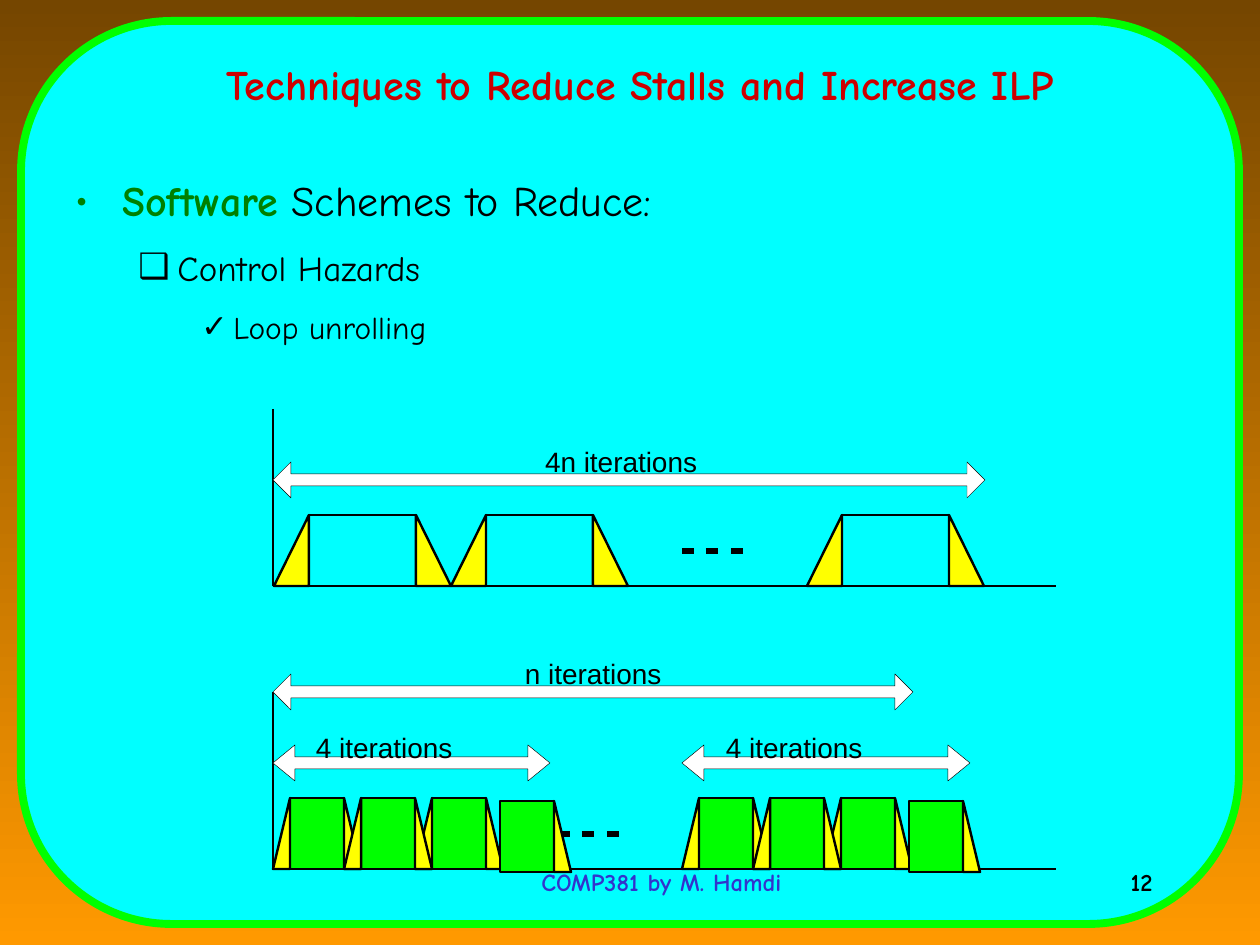
from lxml.etree import SubElement
from pptx import Presentation
from pptx.dml.color import RGBColor
from pptx.enum.shapes import MSO_CONNECTOR, MSO_SHAPE
from pptx.enum.text import MSO_ANCHOR, PP_ALIGN
from pptx.oxml.ns import qn
from pptx.util import Pt

PX = 914400 / 126
COLORS = {name: RGBColor.from_string(code) for name, code in {
    "brown": "754600", "orange": "FF9900", "cyan": "00FFFF",
    "lime": "00FF00", "blue": "3333CC", "red": "CC0000",
    "green": "008000", "black": "000000", "yellow": "FFFF00",
    "white": "FFFFFF"}.items()}

deck = Presentation()
deck.slide_width, deck.slide_height = round(1260 * PX), round(945 * PX)
slide = deck.slides.add_slide(deck.slide_layouts[6])
shapes = slide.shapes


def paint(shape, fill, width, edge="black"):
    shape.shadow.inherit = False
    shape.fill.solid()
    shape.fill.fore_color.rgb = COLORS[fill]
    shape.line.color.rgb = COLORS[edge]
    shape.line.width = Pt(width)


def write(para, text, size, color, bold=False, font="Comic Neue"):
    run = para.add_run()
    run.text = text
    run.font.size = Pt(size)
    run.font.name = font
    run.font.bold = bold
    run.font.color.rgb = COLORS[color]


# Background and frame
back = slide.background.fill
back.gradient()
back.gradient_angle = 270
for stop, color in zip(back.gradient_stops, ("brown", "orange")):
    stop.color.rgb = COLORS[color]
frame = shapes.add_shape(MSO_SHAPE.FLOWCHART_ALTERNATE_PROCESS,
                         *[round(v * PX) for v in (21, 21, 1218, 903)])
paint(frame, "cyan", 4.5, "lime")

# Title, footer and page number
for box, text, size, color, align, anchor in (
        ((462, 861, 399, 63), "COMP381 by M. Hamdi", 14, "blue",
         PP_ALIGN.CENTER, MSO_ANCHOR.TOP),
        ((73, 21, 1134, 126), "Techniques to Reduce Stalls and Increase ILP",
         24, "red", PP_ALIGN.CENTER, MSO_ANCHOR.MIDDLE),
        ((903, 861, 262, 63), "12", 14, "black",
         PP_ALIGN.RIGHT, MSO_ANCHOR.TOP)):
    frame = shapes.add_textbox(*[round(v * PX) for v in box]).text_frame
    frame.word_wrap = True
    frame.vertical_anchor = anchor
    frame.paragraphs[0].alignment = align
    write(frame.paragraphs[0], text, size, color, bold=True)

# Outline
body = shapes.add_textbox(*[round(v * PX) for v in (63, 168, 1134, 683)])
body = body.text_frame
body.word_wrap = True
for level, (left, hang, space, mark, tint, size, runs) in enumerate((
        (47, 47, 0, "•", "green", 24,
         (("Software", "green", True),
          (" Schemes to Reduce:", "black", False))),
        (102, 39, 12.5, "❑", "black", 20,
         (("Control Hazards", "black", False),)),
        (158, 32, 11.2, "✓", "black", 18,
         (("Loop unrolling", "black", False),)))):
    para = body.add_paragraph() if level else body.paragraphs[0]
    para.level = level
    props = para._p.get_or_add_pPr()
    props.set("marL", str(round(left * PX)))
    props.set("indent", str(round(-hang * PX)))
    SubElement(SubElement(props, qn("a:buClr")), qn("a:srgbClr"),
               val=str(COLORS[tint]))
    SubElement(props, qn("a:buFont"), typeface="Comic Neue")
    SubElement(props, qn("a:buChar"), char=mark)
    para.alignment = PP_ALIGN.JUSTIFY
    para.space_before = Pt(space)
    for text, color, bold in runs:
        write(para, text, size, color, bold)

# Axes and ellipsis dashes
lines = [(273, 409, 273, 586, 0.88), (273, 692, 273, 869, 0.88),
         (273, 586, 1056, 586, 0.88), (273, 869, 1056, 869, 0.88)]
for start, y in ((682, 551), (558, 834)):
    for k in range(3):
        x = round(start + 24.5 * k)
        lines.append((x, y, x + 12, y, 3.75))
for *ends, width in lines:
    line = shapes.add_connector(MSO_CONNECTOR.STRAIGHT,
                                *[round(v * PX) for v in ends])
    line.line.color.rgb = COLORS["black"]
    line.line.width = Pt(width)
    SubElement(line._element.spPr, qn("a:effectLst"))

# Span arrows with their labels
for x, end, y, head, label, at, top in (
        (273, 985, 480, 18, "4n iterations", 545, 445),
        (273, 913, 692, 18, "n iterations", 525, 657),
        (273, 550, 763, 22, "4 iterations", 316, 731),
        (682, 970, 763, 22, "4 iterations", 726, 731)):
    near, far = x + head, end - head
    path = shapes.build_freeform(x, y, PX)
    path.add_line_segments([
        (near, y - 18), (near, y - 6), (far, y - 6), (far, y - 18), (end, y),
        (far, y + 18), (far, y + 6), (near, y + 6), (near, y + 18)])
    paint(path.convert_to_shape(), "white", 0.25)
    text = shapes.add_textbox(*[round(v * PX) for v in (at, top, 170, 34)])
    text = text.text_frame
    text.word_wrap = True
    text.margin_left = text.margin_right = 0
    text.margin_top = text.margin_bottom = 0
    write(text.paragraphs[0], label, 16, "black", font="Arial")

# Iterations: block left, base, block width, ramp width, fill, left ramp shown
blocks = [(x, 586, 107, 35, "cyan", True) for x in (309, 486, 842)]
for start in (273, 682):
    blocks += [(start + 17 + 71 * k, 869, 54, 17, "lime", True)
               for k in (2, 0, 1)]
    blocks.append((start + 227, 872, 54, 17, "lime", False))
for x, base, wide, ramp, fill, rise in blocks:
    block = shapes.add_shape(MSO_SHAPE.RECTANGLE, *[
        round(v * PX) for v in (x, base - 71, wide, 71)])
    paint(block, fill, 1.39)
    sides = [(x + wide, x + wide + ramp)]
    if rise:
        sides.append((x, x - ramp))
    for edge, tip in sides:
        path = shapes.build_freeform(edge, base, PX)
        path.add_line_segments([(tip, base), (edge, base - 71)])
        paint(path.convert_to_shape(), "yellow", 1.39)

deck.save("out.pptx")
